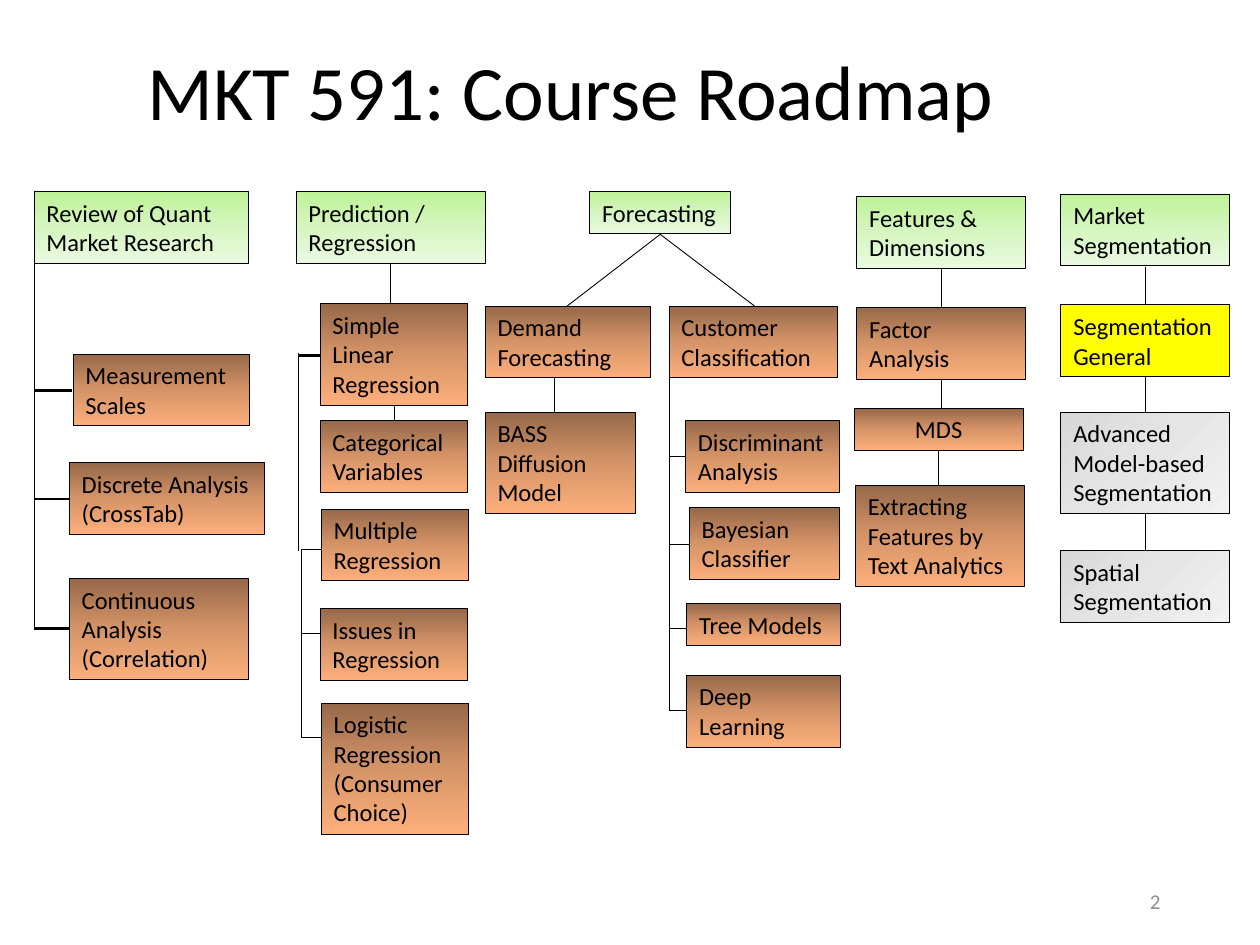
from copy import deepcopy
from pptx import Presentation
from pptx.dml.color import RGBColor as Rgb
from pptx.enum.shapes import MSO_CONNECTOR as Conn, MSO_SHAPE as Kind
from pptx.enum.text import MSO_ANCHOR as Anchor, MSO_AUTO_SIZE as Fit, PP_ALIGN as Align
from pptx.oxml import parse_xml
from pptx.oxml.ns import nsdecls
from pptx.util import Inches, Pt

GREEN = (270, "BEF297", "D5F6C0", "EAFAE0")
BROWN = (270, "966849", "D59468", "FDAF7B")
GREY = (315, "D8D8D8", "E5E5E5", "F2F2F2")
YELLOW = "FFFF00"


def shade(code):
    return Rgb.from_string(code)


def apply(obj, vals):
    for key, val in vals.items():
        setattr(obj, key, val)


class Map:
    """Draw the course roadmap in one shared style."""

    font = {"name": "Calibri", "size": Pt(14)}
    frame = {"word_wrap": True, "auto_size": Fit.SHAPE_TO_FIT_TEXT, "vertical_anchor": Anchor.TOP}
    ink = "000000"
    base, step = 0.1, 0.235

    def __init__(self, slide):
        self.shapes = slide.shapes

    def letter(self, shape, text, align=Align.LEFT, ink=ink, space=None, frame=None, **font):
        body = shape.text_frame
        apply(body, {**self.frame, **(frame or {})})
        para = body.paragraphs[0]
        para.text = text
        apply(para, {"alignment": align, "line_spacing": space})
        apply(para.font, {**self.font, **font})
        para.font.color.rgb = shade(ink)

    def label(self, text, x, y, w, h, **form):
        area = self.shapes.add_textbox(*map(Inches, (x, y, w, h)))
        fixed = {"auto_size": Fit.NONE, "vertical_anchor": Anchor.MIDDLE}
        self.letter(area, text, frame=fixed, **form)

    def blend(self, shape, angle, *codes):
        fill = shape.fill
        fill.gradient()
        fill.gradient_angle = angle
        first = shape.element.xpath(".//a:gsLst/a:gs")[0]
        first.addnext(deepcopy(first))
        for i, (stop, code) in enumerate(zip(fill.gradient_stops, codes)):
            stop.position = i / 2
            stop.color.rgb = shade(code)

    def box(self, text, x, y, w, rows, tone=BROWN, align=Align.LEFT):
        size = (x, y, w, self.base + self.step * rows)
        shape = self.shapes.add_shape(Kind.RECTANGLE, *map(Inches, size))
        shape.shadow.inherit = False
        if tone == YELLOW:
            shape.fill.solid()
            shape.fill.fore_color.rgb = shade(tone)
        else:
            self.blend(shape, *tone)
        shape.line.color.rgb = shade(self.ink)
        shape.line.width = Pt(0.5)
        self.letter(shape, text, align)

    def line(self, x1, y1, x2, y2, width=0.5):
        link = self.shapes.add_connector(Conn.STRAIGHT, *map(Inches, (x1, y1, x2, y2)))
        link.line.color.rgb = shade(self.ink)
        link.line.width = Pt(width)
        link._element.spPr.append(parse_xml(f"<a:effectLst {nsdecls('a')}/>"))

    def spine(self, x, top, end, rungs):
        self.line(x, top, x, end)
        for y, right, width in rungs:
            self.line(x, y, right, y, width)


SPINES = [
    (0.27, 2.09, 4.99, [(3.1, 0.57, 1.5), (3.96, 0.55, 1.5), (4.99, 0.55, 1.5)]),
    (2.37, 2.8, 4.37, [(2.82, 2.54, 1.5)]),
    (2.39, 4.36, 5.86, [(4.36, 2.55, 0.5), (5.03, 2.55, 0.5), (5.85, 2.57, 0.5)]),
    (5.31, 2.77, 5.64, [(3.62, 5.44, 0.5), (4.32, 5.47, 0.5), (4.99, 5.46, 0.5), (5.64, 5.45, 0.5)]),
]
STEMS = [
    (3.1, 2.09, 2.41), (3.13, 3.21, 3.34), (4.4, 2.99, 3.27),
    (7.47, 2.13, 2.44), (7.47, 3.01, 3.29), (7.45, 3.58, 3.87),
    (9.09, 2.12, 2.42), (9.09, 2.99, 3.27), (9.09, 4.08, 4.38),
]
BOXES = [
    ("Review of Quant Market Research", 0.27, 1.52, 1.7, 2, GREEN),
    ("Measurement Scales", 0.58, 2.81, 1.4, 2),
    ("Discrete Analysis (CrossTab)", 0.55, 3.67, 1.55, 2),
    ("Continuous Analysis (Correlation)", 0.55, 4.59, 1.42, 3),
    ("Prediction / Regression", 2.35, 1.52, 1.5, 2, GREEN),
    ("Simple Linear Regression", 2.54, 2.41, 1.17, 3),
    ("Categorical Variables", 2.54, 3.34, 1.17, 2),
    ("Multiple Regression", 2.55, 4.04, 1.17, 2),
    ("Issues in Regression", 2.54, 4.83, 1.17, 2),
    ("Logistic Regression (Consumer Choice)", 2.55, 5.58, 1.17, 4),
    ("Forecasting", 4.68, 1.52, 1.12, 1, GREEN),
    ("Demand Forecasting", 3.85, 2.43, 1.31, 2),
    ("BASS Diffusion Model", 3.85, 3.27, 1.19, 3),
    ("Customer Classification", 5.31, 2.43, 1.34, 2),
    ("Discriminant Analysis", 5.44, 3.34, 1.22, 2),
    ("Bayesian Classifier", 5.47, 4.03, 1.19, 2),
    ("Tree Models", 5.45, 4.79, 1.22, 1),
    ("Deep Learning", 5.45, 5.36, 1.22, 2),
    ("Features & Dimensions", 6.8, 1.56, 1.34, 2, GREEN),
    ("Factor Analysis", 6.8, 2.44, 1.34, 2),
    ("MDS", 6.78, 3.24, 1.34, 1, BROWN, Align.CENTER),
    ("Extracting Features by Text Analytics", 6.79, 3.85, 1.34, 3),
    ("Market Segmentation", 8.42, 1.54, 1.34, 2, GREEN),
    ("Segmentation General", 8.42, 2.42, 1.34, 2, YELLOW),
    ("Advanced Model-based Segmentation", 8.42, 3.27, 1.34, 3, GREY),
    ("Spatial Segmentation", 8.42, 4.37, 1.34, 2, GREY),
]


def main():
    deck = Presentation()
    apply(deck, {"slide_width": Inches(10), "slide_height": Inches(7.5)})
    road = Map(deck.slides.add_slide(deck.slide_layouts[6]))
    road.label("MKT 591: Course Roadmap", 1.07, 0.03, 7.27, 1.45, space=0.9, size=Pt(44))
    road.label("2", 7.06, 6.95, 2.25, 0.4, align=Align.RIGHT, ink="8C8C8C", size=Pt(12))
    for item in SPINES:
        road.spine(*item)
    for x, top, end in STEMS:
        road.line(x, top, x, end)
    for x in (4.5, 5.99):
        road.line(5.24, 1.86, x, 2.43)
    for item in BOXES:
        road.box(*item)
    deck.save("out.pptx")


if __name__ == "__main__":
    main()
